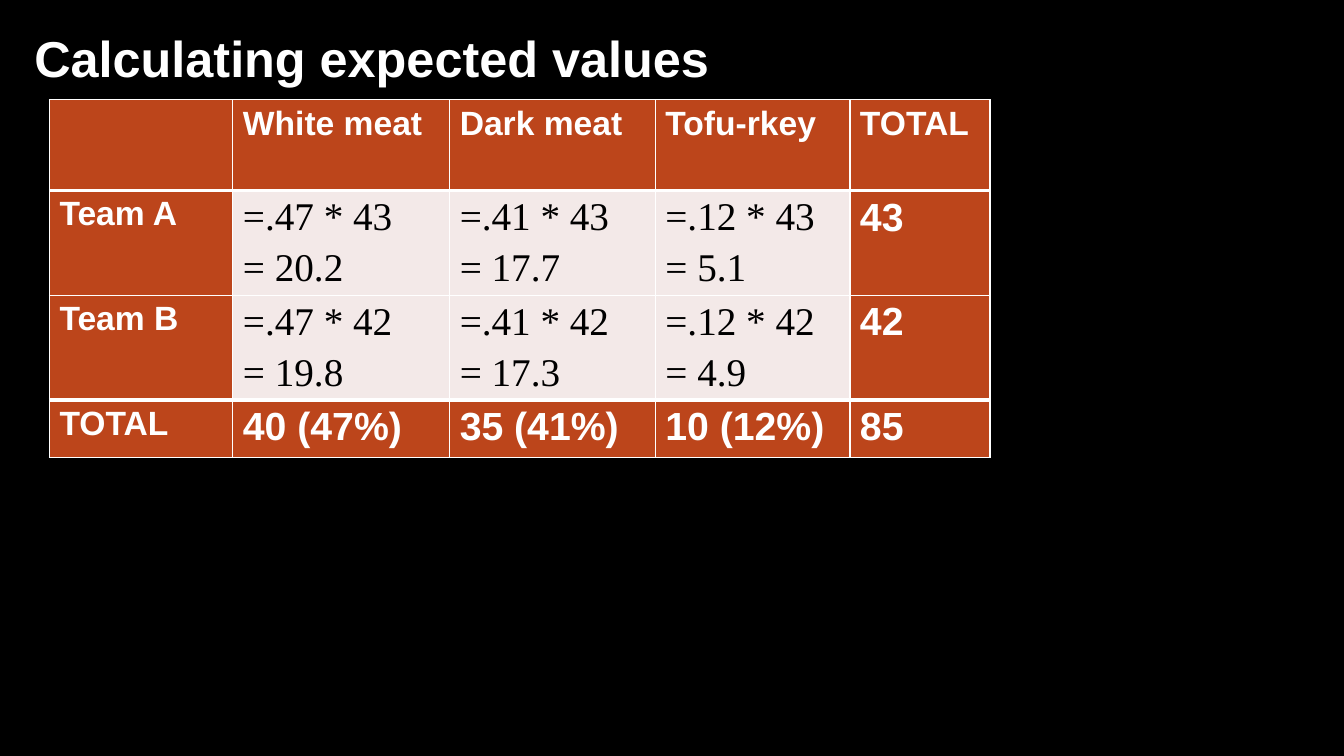
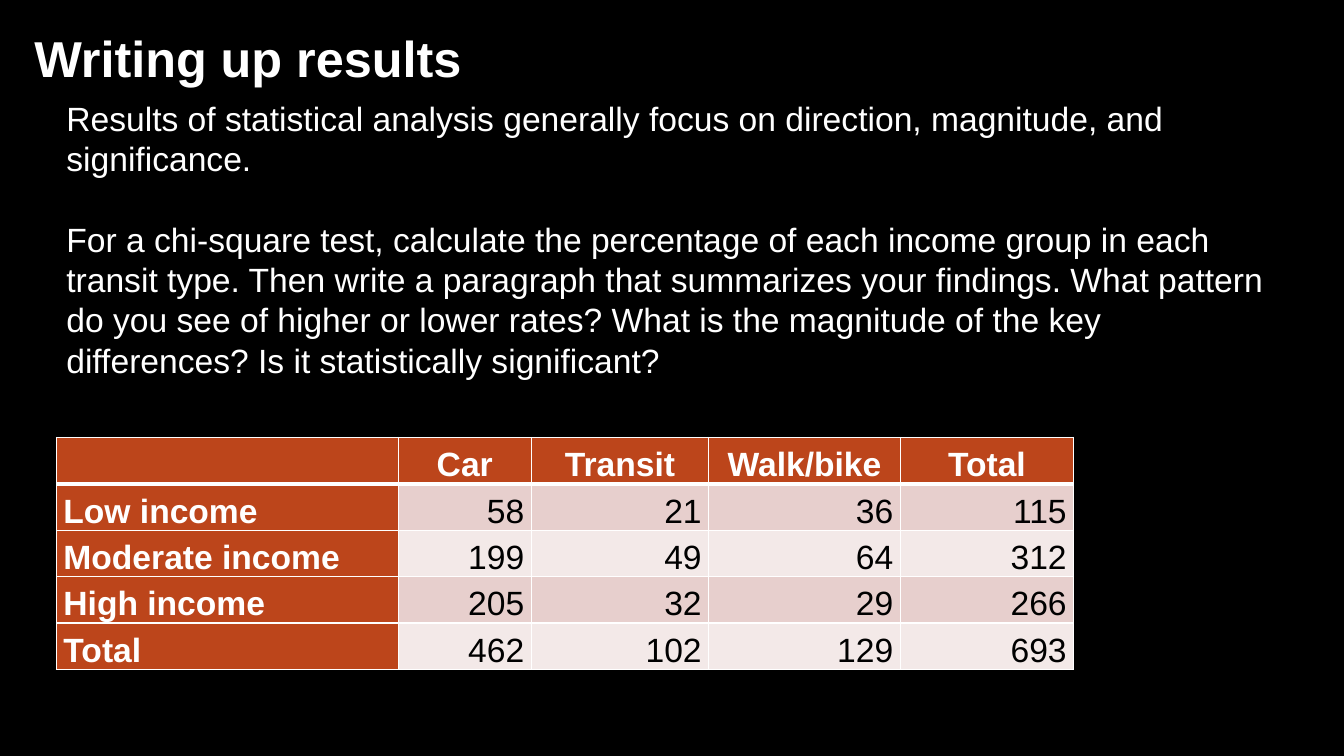
"""Build two slides on chi-square expected values and writing up results."""
import pptx
import pptx.util
import pptx.dml.color
import pptx.enum.text
import pptx.oxml
import pptx.oxml.ns

Inches, Pt = pptx.util.Inches, pptx.util.Pt
ALIGN, ANCHOR = pptx.enum.text.PP_ALIGN, pptx.enum.text.MSO_ANCHOR

COLORS = {
    "background": "000000",
    "light": "FFFFFF",
    "dark": "000000",
    "accent": "BC451B",
    "pale": "F3E9E8",
    "tint": "E7CFCD",
}
SANS, SERIF = "Arial", "Times New Roman"
THIN, THICK = 1, 3

EXPECTED = {
    "title": "Calculating expected values",
    "at": (0.49, 0.99),
    "columns": [1.82, 2.15, 2.04, 1.93, 1.39],
    "heights": [0.9, 1.04, 1.04, 0.57],
    "rows": [
        ["", "White meat", "Dark meat", "Tofu-rkey", "TOTAL"],
        ["Team A", "=.47 * 43\n= 20.2", "=.41 * 43\n= 17.7", "=.12 * 43\n= 5.1", "43"],
        ["Team B", "=.47 * 42\n= 19.8", "=.41 * 42\n= 17.3", "=.12 * 42\n= 4.9", "42"],
        ["TOTAL", "40 (47%)", "35 (41%)", "10 (12%)", "85"],
    ],
    "bands": ["pale"],
    "value_font": (SERIF, 28),
    "margins": (0.1, 0.05),
    "anchor": ANCHOR.TOP,
    "line_spacing": 1.0,
    "aligns": (ALIGN.LEFT, ALIGN.LEFT),
    "accent_totals": True,
}
INCOME = {
    "title": "Writing up results",
    "at": (0.56, 4.34),
    "columns": [3.39, 1.32, 1.76, 1.9, 1.72],
    "heights": [0.46] * 5,
    "rows": [
        ["", "Car", "Transit", "Walk/bike", "Total"],
        ["Low income", "58", "21", "36", "115"],
        ["Moderate income", "199", "49", "64", "312"],
        ["High income", "205", "32", "29", "266"],
        ["Total", "462", "102", "129", "693"],
    ],
    "bands": ["tint", "pale"],
    "value_font": (SANS, 24),
    "margins": (0.07, 0),
    "anchor": ANCHOR.BOTTOM,
    "line_spacing": 1.15,
    "aligns": (ALIGN.CENTER, ALIGN.RIGHT),
    "accent_totals": False,
}
GUIDANCE = [
    "Results of statistical analysis generally focus on direction, magnitude, and significance.",
    "For a chi-square test, calculate the percentage of each income group in each transit type. "
    "Then write a paragraph that summarizes your findings. What pattern do you see of higher or "
    "lower rates? What is the magnitude of the key differences? Is it statistically significant?",
]
GUIDANCE_LINE = 28.8


def rgb(name):
    return pptx.dml.color.RGBColor.from_string(COLORS[name])


def style_runs(paragraph, face, size, color, bold=False):
    for run in paragraph.runs:
        font = run.font
        font.name, font.size, font.bold = face, Pt(size), bold
        font.color.rgb = rgb(color)


def add_titled_slide(prs, title):
    slide = prs.slides.add_slide(prs.slide_layouts[5])
    heading = slide.shapes.title
    heading.left, heading.top = Inches(0.24), Inches(0.21)
    heading.width, heading.height = Inches(9), Inches(0.71)
    frame = heading.text_frame
    frame.text = title
    frame.auto_size = pptx.enum.text.MSO_AUTO_SIZE.NONE
    frame.vertical_anchor = ANCHOR.BOTTOM
    frame.paragraphs[0].alignment = ALIGN.LEFT
    style_runs(frame.paragraphs[0], SANS, 36, "light", True)
    return slide


def set_borders(cell, top, bottom):
    properties = cell._tc.get_or_add_tcPr()
    widths = {"lnL": THIN, "lnR": THIN, "lnT": top, "lnB": bottom}
    for position, (side, width) in enumerate(widths.items()):
        properties.insert(position, pptx.oxml.parse_xml(
            f'<a:{side} {pptx.oxml.ns.nsdecls("a")} w="{Pt(width)}"><a:solidFill>'
            f'<a:srgbClr val="{COLORS["light"]}"/></a:solidFill></a:{side}>'))


def add_grid(slide, data):
    rows, columns, heights = data["rows"], data["columns"], data["heights"]
    last_row, last_column = len(rows) - 1, len(columns) - 1
    left, top = data["at"]
    grid = slide.shapes.add_table(
        len(rows), len(columns), Inches(left), Inches(top),
        Inches(sum(columns)), Inches(sum(heights))).table
    for column, width in zip(grid.columns, columns):
        column.width = Inches(width)
    for row, height in zip(grid.rows, heights):
        row.height = Inches(height)
    thick_edges = {1, last_row} if data["accent_totals"] else {1}
    side, edge = (Inches(margin) for margin in data["margins"])
    header_align, value_align = data["aligns"]
    for r, texts in enumerate(rows):
        for c, text in enumerate(texts):
            cell = grid.cell(r, c)
            label = r == 0 or c == 0
            total = data["accent_totals"] and (r == last_row or c == last_column)
            accent = label or total
            cell.fill.solid()
            cell.fill.fore_color.rgb = rgb(
                "accent" if accent else data["bands"][(r - 1) % len(data["bands"])])
            set_borders(cell, *(THICK if e in thick_edges else THIN for e in (r, r + 1)))
            cell.margin_left = cell.margin_right = side
            cell.margin_top = cell.margin_bottom = edge
            cell.vertical_anchor = data["anchor"]
            cell.text_frame.text = text
            face, size = data["value_font"]
            for index, paragraph in enumerate(cell.text_frame.paragraphs):
                paragraph.line_spacing = data["line_spacing"]
                paragraph.space_before = Pt(5.6 if index else 0)
                paragraph.alignment = (
                    ALIGN.LEFT if c == 0 else header_align if r == 0 else value_align)
                style_runs(paragraph, SANS if accent else face, 24 if label else size,
                           "light" if accent else "dark", accent)


def add_guidance(slide):
    frame = slide.shapes.add_textbox(
        Inches(0.56), Inches(0.92), Inches(12.19), Inches(2.93)).text_frame
    frame.word_wrap = True
    frame.text = "\n".join(GUIDANCE)
    for index, paragraph in enumerate(frame.paragraphs):
        paragraph.line_spacing = Pt(GUIDANCE_LINE)
        paragraph.space_before = Pt(GUIDANCE_LINE * index)
        style_runs(paragraph, SANS, 24, "light")


def main():
    prs = pptx.Presentation()
    prs.slide_width, prs.slide_height = Inches(13.33), Inches(7.5)
    backdrop = prs.slide_master.background.fill
    backdrop.solid()
    backdrop.fore_color.rgb = rgb("background")
    add_grid(add_titled_slide(prs, EXPECTED["title"]), EXPECTED)
    results = add_titled_slide(prs, INCOME["title"])
    add_guidance(results)
    add_grid(results, INCOME)
    prs.save("out.pptx")


if __name__ == "__main__":
    main()
